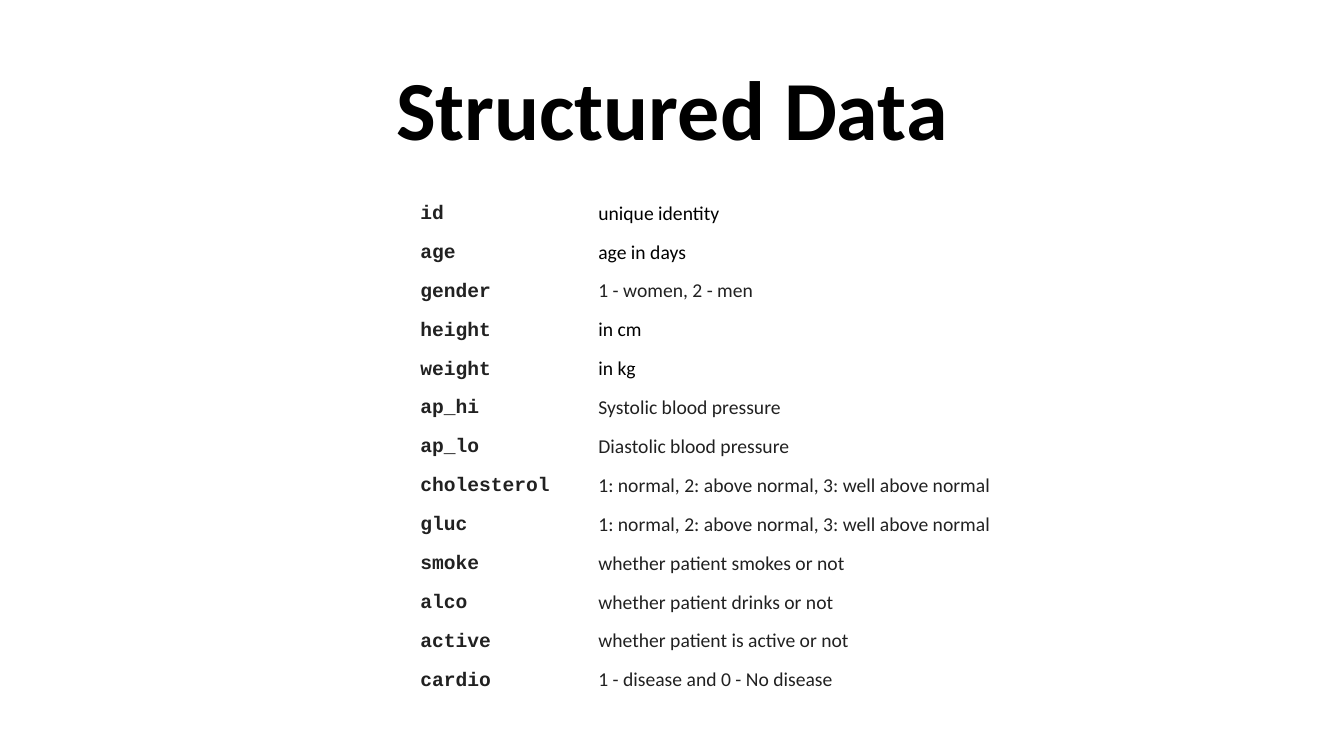
"""Build a slide that lists the fields of a structured patient data set."""
from pptx import Presentation, util as u
from pptx.dml import color
from pptx.enum import text

BLACK, CHARCOAL = "000000", "212121"
FIELDS = [
    ("id", "unique identity", BLACK),
    ("age", "age in days", BLACK),
    ("gender", "1 - women, 2 - men", CHARCOAL),
    ("height", "in cm", BLACK),
    ("weight", "in kg", BLACK),
    ("ap_hi", "Systolic blood pressure", CHARCOAL),
    ("ap_lo", "Diastolic blood pressure", CHARCOAL),
    ("cholesterol", "1: normal, 2: above normal, 3: well above normal", CHARCOAL),
    ("gluc", "1: normal, 2: above normal, 3: well above normal", CHARCOAL),
    ("smoke", "whether patient smokes or not", CHARCOAL),
    ("alco", "whether patient drinks or not", CHARCOAL),
    ("active", "whether patient is active or not", CHARCOAL),
    ("cardio", "1 - disease and 0 - No disease", CHARCOAL),
]


def rgb(value):
    return color.RGBColor.from_string(value)


class FieldPage:
    def __init__(self, page):
        self.page = page
        self.body_font, self.code_font = "Calibri", "Courier New"
        self.title_size, self.cell_size = 60, 14

    def style(self, paragraph, name, size, hue, bold):
        font = paragraph.font
        font.name, font.size, font.bold = name, u.Pt(size), bold
        font.color.rgb = rgb(hue)

    def title(self, wording, left, top, width, height):
        box = self.page.shapes.title
        box.left, box.top = u.Pt(left), u.Pt(top)
        box.width, box.height = u.Pt(width), u.Pt(height)
        frame = box.text_frame
        frame.text = wording
        frame.auto_size = text.MSO_AUTO_SIZE.NONE
        frame.vertical_anchor = text.MSO_ANCHOR.MIDDLE
        paragraph = frame.paragraphs[0]
        paragraph.alignment = text.PP_ALIGN.CENTER
        paragraph.line_spacing = 0.9
        self.style(paragraph, self.body_font, self.title_size, BLACK, True)

    def cell(self, cell, wording, name, hue, bold):
        cell.text = wording
        cell.fill.background()
        cell.vertical_anchor = text.MSO_ANCHOR.BOTTOM
        cell.margin_left = cell.margin_right = cell.margin_top = u.Pt(0.7)
        cell.margin_bottom = u.Pt(0)
        self.style(cell.text_frame.paragraphs[0], name, self.cell_size, hue, bold)

    def table(self, fields, left, top, widths, row_height):
        table = self.page.shapes.add_table(
            len(fields), len(widths), u.Pt(left), u.Pt(top),
            u.Pt(sum(widths)), u.Pt(row_height * len(fields))).table
        table.first_row = table.horz_banding = False
        for column, width in zip(table.columns, widths):
            column.width = u.Pt(width)
        for row, (field, meaning, hue) in zip(table.rows, fields):
            row.height = u.Pt(row_height)
            self.cell(row.cells[0], field, self.code_font, CHARCOAL, True)
            self.cell(row.cells[1], meaning, self.body_font, hue, False)


def main():
    deck = Presentation()
    deck.slide_width, deck.slide_height = u.Pt(960), u.Pt(540)
    page = FieldPage(deck.slides.add_slide(deck.slide_layouts[5]))
    page.title("Structured Data", 66, 28.75, 828, 104.4)
    page.table(FIELDS, 299.5, 133.2, (127.2, 383), 27.79)
    deck.save("out.pptx")


if __name__ == "__main__":
    main()
